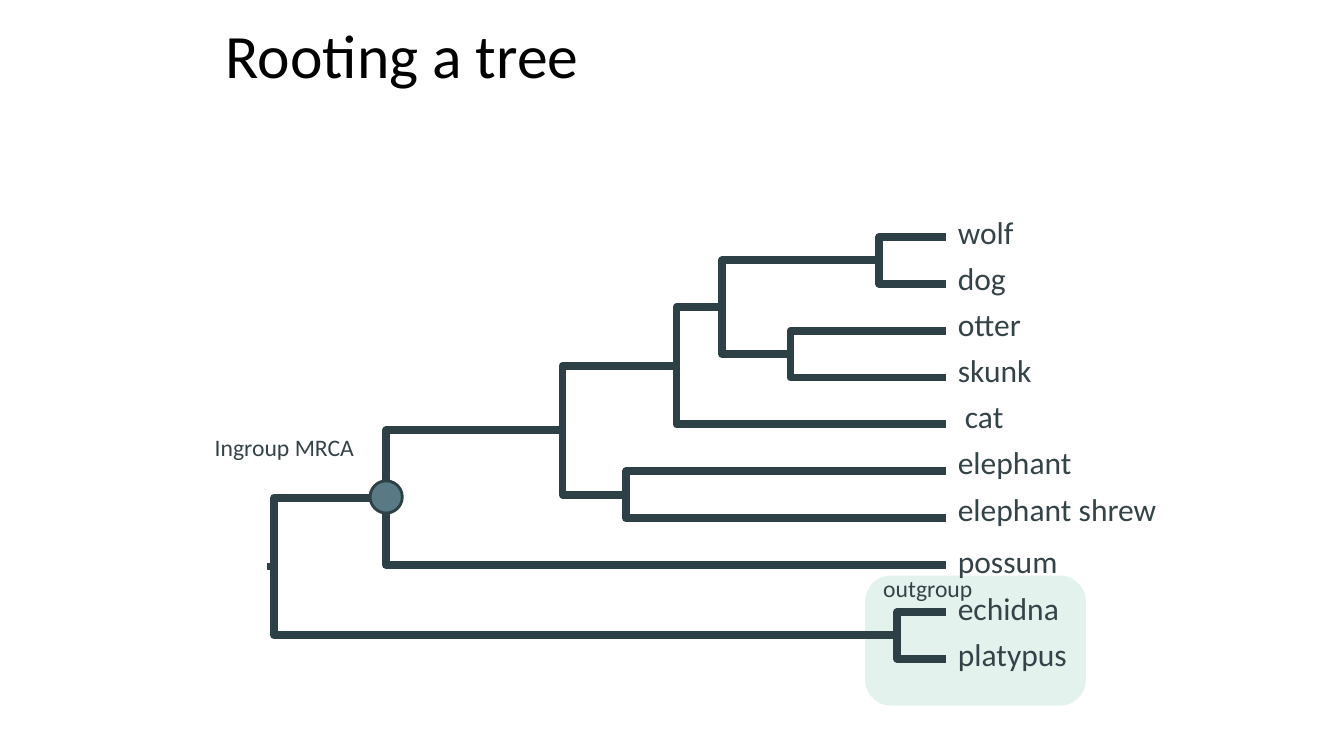
from pptx import Presentation
from pptx import util as u
from pptx.dml.color import RGBColor
from pptx.enum import shapes, text
from pptx.oxml.ns import qn
from lxml import etree

PX = 9144
DARK = "2D4045"
INK = "344347"
TIP_X, TIP_Y, ROW = 938, 235, 46.5

INGROUP = (383,
           (558,
            (671,
             (716, (872, "wolf", "dog"), (784, "otter", "skunk")),
             "cat"),
            (621, "elephant", "elephant shrew")),
           "possum")
OUTGROUP = (890, "echidna", "platypus")
TREE = (272, INGROUP, OUTGROUP)


def px(n):
    return u.Emu(round(n * PX))


def rgb(value):
    return RGBColor.from_string(value)


def add_text(s, lines, box, size=22.5, color=INK, spacing=1.0,
             anchor=text.MSO_ANCHOR.TOP, indents=None):
    tf = s.shapes.add_textbox(*map(px, box)).text_frame
    tf.word_wrap = True
    tf.vertical_anchor = anchor
    tf.margin_left = tf.margin_right = tf.margin_bottom = 0
    tf.margin_top = px(1)
    for i, line in enumerate(lines):
        p = tf.add_paragraph() if i else tf.paragraphs[0]
        indent = (indents or {}).get(line, 1)
        p._p.get_or_add_pPr().set("marL", str(px(indent)))
        p.line_spacing = spacing
        r = p.add_run()
        r.text = line
        r.font.name = "Calibri"
        r.font.size = u.Pt(size)
        r.font.color.rgb = rgb(color)


def add_shape(s, kind, box, fill, line=None):
    sp = s.shapes.add_shape(kind, *map(px, box))
    sp.shadow.inherit = False
    sp.fill.solid()
    sp.fill.fore_color.rgb = rgb(fill)
    if line:
        sp.line.color.rgb = rgb(line)
        sp.line.width = u.Pt(2)
    else:
        sp.line.fill.background()
    return sp


def add_branch(s, *points):
    start, *rest = [(px(x), px(y)) for x, y in points]
    builder = s.shapes.build_freeform(*start)
    builder.add_line_segments(rest, close=False)
    sp = builder.convert_to_shape()
    sp.shadow.inherit = False
    sp.fill.background()
    sp.line.color.rgb = rgb(DARK)
    sp.line.width = u.Pt(5.59)
    etree.SubElement(sp.line._get_or_add_ln(), qn("a:round"))


def tip_names(node):
    if isinstance(node, str):
        return [node]
    return [name for child in node[1:] for name in tip_names(child)]


def add_clade(s, node, rows):
    if isinstance(node, str):
        return TIP_X, TIP_Y + ROW * rows.index(node)
    x, *children = node
    ends = [add_clade(s, child, rows) for child in children]
    y = sum(end_y for _, end_y in ends) / len(ends)
    for end_x, end_y in ends:
        add_branch(s, (end_x, end_y), (x, end_y), (x, y))
    return x, y


def main():
    prs = Presentation()
    prs.slide_width, prs.slide_height = u.Inches(13.33), u.Inches(7.5)
    s = prs.slides.add_slide(prs.slide_layouts[6])

    panel = add_shape(s, shapes.MSO_SHAPE.ROUNDED_RECTANGLE,
                      (858, 571, 219, 129), "E3F2ED")
    panel.adjustments[0] = 0.2
    add_text(s, ["outgroup"], (875, 568, 95, 29), size=16.9)
    add_text(s, ["Ingroup MRCA"], (212, 428, 150, 29), size=16.9)

    names = tip_names(TREE)
    root_x, root_y = add_clade(s, TREE, names)
    add_branch(s, (root_x - 7, root_y), (root_x, root_y))
    add_shape(s, shapes.MSO_SHAPE.OVAL, (367, 477, 32, 32), "577A85", DARK)

    add_text(s, ["Rooting a tree"], (223, 15, 398, 75), size=44,
             color="000000", anchor=text.MSO_ANCHOR.MIDDLE)
    add_text(s, names[:7], (949, 202, 210, 327), spacing=1.22,
             indents={"cat": 8})
    add_text(s, names[7:8], (949, 537, 110, 39))
    add_text(s, names[8:], (949, 575, 120, 92), spacing=1.22)

    prs.save("out.pptx")


if __name__ == "__main__":
    main()
